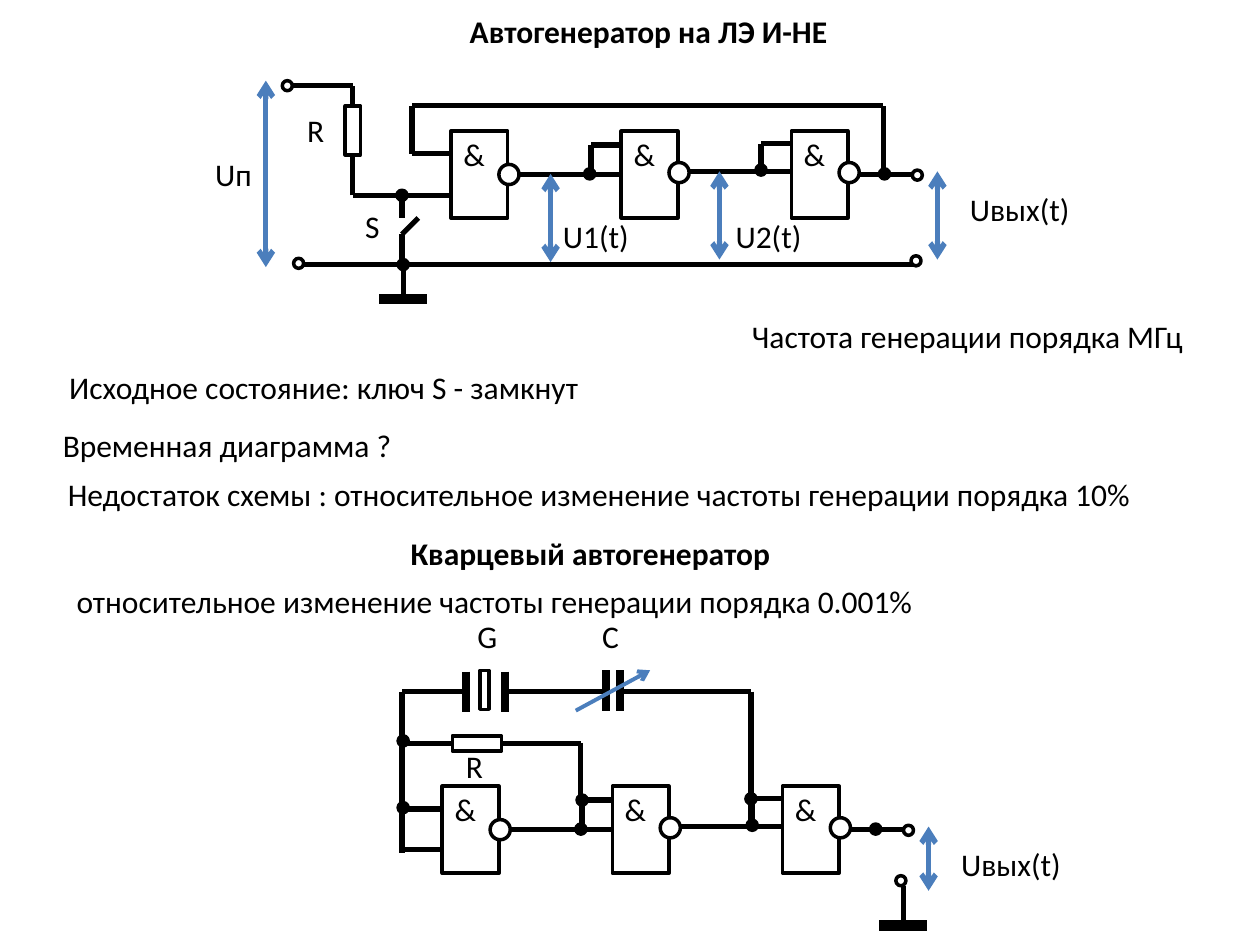
from dataclasses import dataclass

from lxml import etree
from pptx import Presentation
from pptx.dml.color import RGBColor
from pptx.enum.shapes import MSO_CONNECTOR, MSO_SHAPE
from pptx.enum.text import MSO_AUTO_SIZE
from pptx.oxml.ns import qn
from pptx.util import Inches, Pt

STRAIGHT = MSO_CONNECTOR.STRAIGHT
RECTANGLE, OVAL = MSO_SHAPE.RECTANGLE, MSO_SHAPE.OVAL
FIT_SHAPE = MSO_AUTO_SIZE.SHAPE_TO_FIT_TEXT
TOP, LEFT, BOTTOM, RIGHT = range(4)
COLUMNS, ROWS = 100, 75


@dataclass(frozen=True)
class Theme:
    font: str = "Calibri"
    size: float = 18
    ink: RGBColor = RGBColor(0, 0, 0)
    paper: RGBColor = RGBColor(255, 255, 255)
    accent: RGBColor = RGBColor(0x4B, 0x7E, 0xBC)
    outline: float = 2
    thin: float = 2.25
    wire: float = 3
    plate: float = 4.5
    ground: float = 6


class CircuitSlide:
    """Draws circuit parts; all lengths are columns and rows of the grid."""

    def __init__(self, presentation, theme):
        self.theme = theme
        self.slide = presentation.slides.add_slide(presentation.slide_layouts[6])
        self.shapes = self.slide.shapes
        self.column = presentation.slide_width / COLUMNS
        self.row = presentation.slide_height / ROWS

    def scale(self, *lengths):
        """Turn alternating column and row values into slide units."""
        units = (self.column, self.row)
        return [round(length * units[i % 2]) for i, length in enumerate(lengths)]

    def shape(self, kind, left, top, width, height, fill=None, shapes=None):
        shape = (shapes or self.shapes).add_shape(kind, *self.scale(left, top, width, height))
        shape.shadow.inherit = False
        shape.fill.solid()
        shape.fill.fore_color.rgb = fill or self.theme.paper
        shape.line.color.rgb = self.theme.ink
        shape.line.width = Pt(self.theme.outline)
        return shape

    def text(self, text, left, top, width, bold=False, wrap=False, shapes=None):
        box = (shapes or self.shapes).add_textbox(*self.scale(left, top, width, 4))
        frame = box.text_frame
        frame.word_wrap = wrap
        frame.auto_size = FIT_SHAPE
        paragraph = frame.paragraphs[0]
        paragraph.text = text
        paragraph.font.name = self.theme.font
        paragraph.font.size = Pt(self.theme.size)
        paragraph.font.bold = bold
        paragraph.font.color.rgb = self.theme.ink

    def line(self, start, end, weight, color=None, heads=()):
        connector = self.shapes.add_connector(STRAIGHT, *self.scale(*start, *end))
        connector.line.color.rgb = color or self.theme.ink
        connector.line.width = Pt(weight)
        properties = connector._element.spPr
        etree.SubElement(properties, qn("a:effectLst"))
        for head in heads:
            etree.SubElement(properties.find(qn("a:ln")), qn(f"a:{head}"), type="arrow")
        return connector

    def wire(self, *points, start=None, end=None):
        """Run a wire through the points; start and end are (shape, side) joints."""
        parts = [self.line(a, b, self.theme.wire) for a, b in zip(points, points[1:])]
        if start:
            parts[0].begin_connect(*start)
        if end:
            parts[-1].end_connect(*end)
        return parts[-1]

    def voltage(self, x, top, bottom):
        self.line((x, bottom), (x, top), self.theme.wire, self.theme.accent,
                  ("headEnd", "tailEnd"))

    def plates(self, top, *positions):
        for x in positions:
            self.line((x, top), (x, top + 3.2), self.theme.plate)

    def circle(self, x, y, fill):
        self.shape(OVAL, x - 0.4, y - 0.4, 0.8, 0.8, fill)

    def dots(self, *points):
        for x, y in points:
            self.circle(x, y, self.theme.ink)

    def terminals(self, *points):
        for x, y in points:
            self.circle(x, y, self.theme.paper)

    def ground(self, x, top):
        bar = top + 3.15
        self.line((x, top), (x, bar), self.theme.wire)
        self.line((x - 1.9, bar), (x + 1.9, bar), self.theme.ground)

    def resistor(self, left, top, width, height):
        resistor = self.shape(RECTANGLE, left, top, width, height)
        resistor.fill.background()
        return resistor

    def gate(self, left, top, bubble):
        """Draw a NAND gate whose output circle starts bubble rows below its top."""
        shapes = self.shapes.add_group_shape().shapes
        body = self.shape(RECTANGLE, left, top, 4.5, 6.9, shapes=shapes)
        self.text("&", left, top - 0.2, 3.7, shapes=shapes)
        self.shape(OVAL, left + 3.8, top + bubble, 1.6, 1.6, shapes=shapes)
        return body

    def gate_chain(self, left, top):
        """Draw three linked gates with the output terminal and its label."""
        def at(*points):
            return [(left + x, top + y) for x, y in points]

        output = self.wire(*at((31.5, 3.45), (37, 3.45)))
        _, second, third = [self.gate(left + 13.5 * i, top, bubble)
                            for i, bubble in enumerate((2.65, 2.5, 2.5))]
        output.begin_connect(third, RIGHT)
        self.wire(*at((5.4, 3.45), (13.5, 3.45)), end=(second, LEFT))
        self.wire(*at((18.9, 3.2), (27, 3.2)))
        self.wire(*at((13.5, 1.1), (11.1, 1.1), (11.1, 3.3)))
        self.wire(*at((27, 1), (24.6, 1), (24.6, 3.2)))
        self.dots(*at((11, 3.4), (24.6, 3.1), (34.4, 3.4)))
        self.terminals(*at((37, 3.5)))
        self.text("Uвых(t)", left + 40.2, top + 4.2, 10)


def draw_switch_oscillator(page):
    page.text("Автогенератор на ЛЭ И-НЕ", 36.3, 0.5, 30.7, bold=True)
    page.gate_chain(35.8, 10.4)
    resistor = page.resistor(27.4, 8.4, 1.2, 3.9)
    page.wire((70.1, 13.7), (70.1, 8.4), (32.7, 8.4), (32.7, 12.2), (35.8, 12.2))
    page.wire((35.8, 15.5), (28, 15.5), (28, 12.3), end=(resistor, BOTTOM))
    page.wire((28, 8.4), (28, 6.8), (23.2, 6.8), start=(resistor, TOP))
    page.wire((31.9, 15.5), (31.9, 17.3))
    page.wire((33.2, 17.3), (31.9, 18.6), (31.9, 20.7))
    page.wire((24, 21), (72.8, 21))
    page.ground(32, 20.6)
    page.dots((31.9, 15.5), (32, 21))
    page.terminals((22.8, 6.8), (23.7, 20.9), (72.7, 20.7))
    for x, top, bottom in ((21.1, 6.4, 21.2), (43.7, 13.8, 20.8),
                           (57.1, 13.6, 20.6), (74.4, 13.6, 20.6)):
        page.voltage(x, top, bottom)
    for label, left, top, width in (("S", 28, 15.9, 3.2), ("R", 23.4, 8.3, 3.4),
                                    ("Uп", 16.1, 11.8, 4.9), ("U1(t)", 43.7, 16.7, 7.3),
                                    ("U2(t)", 57.4, 16.7, 7.3)):
        page.text(label, left, top, width)


def draw_notes(page):
    page.text("Частота генерации порядка МГц", 58.7, 24.7, 36.6)
    page.text("Исходное состояние: ключ S - замкнут", 4.5, 28.7, 42.9)
    page.text("Временная диаграмма ?", 4, 33.3, 28.4)
    page.text("Недостаток схемы : относительное изменение частоты генерации порядка 10%",
              4.4, 37.2, 87.4)


def draw_quartz_oscillator(page):
    page.text("Кварцевый автогенератор", 31.6, 41.9, 30.8, bold=True)
    page.text("относительное изменение частоты генерации порядка 0.001%",
              5.1, 45.7, 84.3, wrap=True)
    page.gate_chain(35.1, 62.4)
    resistor = page.resistor(35.9, 58.4, 3.9, 1.2)
    page.wire((36.9, 54.9), (31.9, 54.9), (31.9, 67.7))
    for y in (64.2, 67.4):
        page.wire((31.9, y), (35.1, y))
    page.wire((31.9, 59), (35.9, 59), end=(resistor, LEFT))
    page.wire((39.8, 59), (46.1, 59), (46.1, 63.4), start=(resistor, RIGHT))
    page.wire((40.1, 54.9), (48.1, 54.9))
    page.wire((49.3, 54.9), (59.6, 54.9), (59.6, 65.5))
    page.plates(53.3, 37, 40.1)
    page.shape(RECTANGLE, 38.1, 53.2, 0.7, 3.1)
    page.plates(53.2, 48.1, 49.2)
    page.line((45.7, 56.4), (51.6, 53.2), page.theme.thin, page.theme.accent, ("tailEnd",))
    page.ground(71.7, 70.3)
    page.dots((32, 58.8), (32, 64.1), (46.2, 63.5), (59.6, 63.4))
    page.terminals((71.5, 69.9))
    page.voltage(73.7, 65.6, 70.7)
    for label, left, top, width in (("G", 36.9, 48.5, 3.6), ("C", 46.8, 48.5, 3.4),
                                    ("R", 36, 58.8, 3.4)):
        page.text(label, left, top, width)


def main():
    presentation = Presentation()
    presentation.slide_width, presentation.slide_height = Inches(10), Inches(7.5)
    page = CircuitSlide(presentation, Theme())
    draw_switch_oscillator(page)
    draw_notes(page)
    draw_quartz_oscillator(page)
    presentation.save("out.pptx")


if __name__ == "__main__":
    main()
